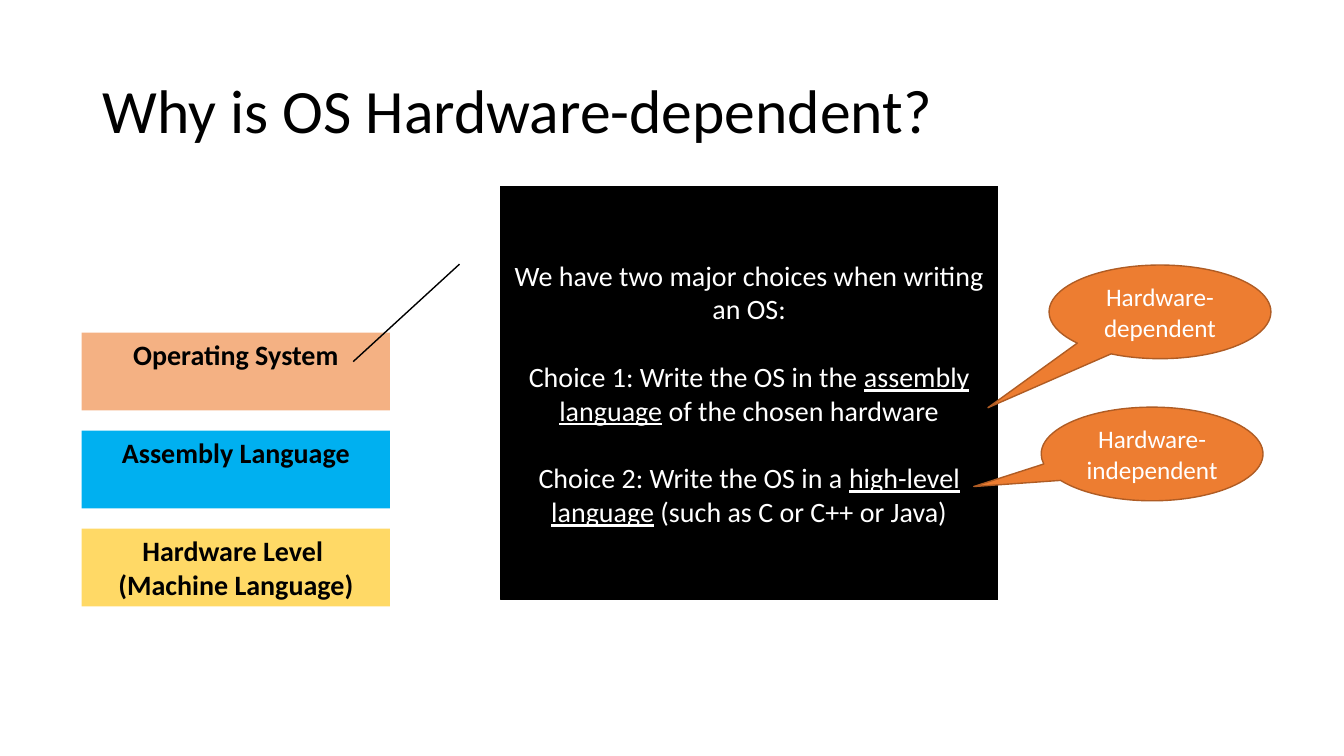
from pptx import Presentation
from pptx.dml.color import RGBColor
from pptx.enum.shapes import MSO_SHAPE as Kind
from pptx.enum.text import MSO_ANCHOR as Anchor, PP_ALIGN as Align
from pptx.util import Cm, Pt


def tint(code):
    return RGBColor.from_string(code)


def write(shape, text, size=20, color="000000", bold=False, align=Align.CENTER,
          anchor=Anchor.MIDDLE, gap=0, lead=1.0):
    """Each line is a paragraph; words between underscores are underlined."""
    frame = shape.text_frame
    frame.word_wrap = True
    frame.vertical_anchor = anchor
    for i, line in enumerate(text.split("\n")):
        para = frame.add_paragraph() if i else frame.paragraphs[0]
        para.alignment = align
        para.line_spacing = lead
        para.space_before = Pt(gap if i else 0)
        for j, part in enumerate(line.split("_")):
            run = para.add_run()
            run.text = part
            font = run.font
            font.name, font.size, font.bold = "Calibri", Pt(size), bold
            font.underline = j % 2 == 1
            font.color.rgb = tint(color)


deck = Presentation()
deck.slide_width, deck.slide_height = Cm(33.87), Cm(19.05)
slide = deck.slides.add_slide(deck.slide_layouts[5])

# Title
title = slide.shapes.title
title.left, title.top, title.width, title.height = Cm(2.34), Cm(1.02), Cm(29.21), Cm(3.68)
write(title, "Why is OS Hardware-dependent?", size=44, align=Align.LEFT, lead=0.9)

# Layers of the machine, top to bottom
layers = [
    ("Operating System", "F4B183"),
    ("Assembly Language", "00B0F0"),
    ("Hardware Level \n(Machine Language)", "FFD966"),
]
head = dict(bold=True, anchor=Anchor.TOP)
items = [
    (Kind.RECTANGLE, (2.06, 8.38 + 2.47 * i, 7.77, 1.96), [], fill, None, text, head)
    for i, (text, fill) in enumerate(layers)
]

# Main callout, then the two remarks on it
choices = """We have two major choices when writing an OS:
Choice 1: Write the OS in the _assembly language_ of the chosen hardware
Choice 2: Write the OS in a _high-level language_ (such as C or C++ or Java)"""
note = dict(size=18, color="FFFFFF")
items += [
    (Kind.LINE_CALLOUT_1, (12.62, 4.7, 12.52, 10.41), [0.188, -0.083, 0.424, -0.297],
     "000000", "000000", choices, dict(color="FFFFFF", gap=24.4)),
    (Kind.OVAL_CALLOUT, (26.24, 10.26, 5.59, 2.36), [-0.804, 0.348],
     "ED7D31", "AF5C24", "Hardware-independent", note),
    (Kind.OVAL_CALLOUT, (26.44, 6.68, 5.59, 2.36), [-0.776, 1.023],
     "ED7D31", "AF5C24", "Hardware-dependent", note),
]

# Draw all boxes
for kind, place, bends, fill, edge, text, style in items:
    box = slide.shapes.add_shape(kind, *map(Cm, place))
    box.shadow.inherit = False
    for i, bend in enumerate(bends):
        box.adjustments[i] = bend
    box.fill.solid()
    box.fill.fore_color.rgb = tint(fill)
    if edge:
        box.line.color.rgb = tint(edge)
        box.line.width = Pt(1)
    else:
        box.line.fill.background()
    write(box, text, **style)

deck.save("out.pptx")
